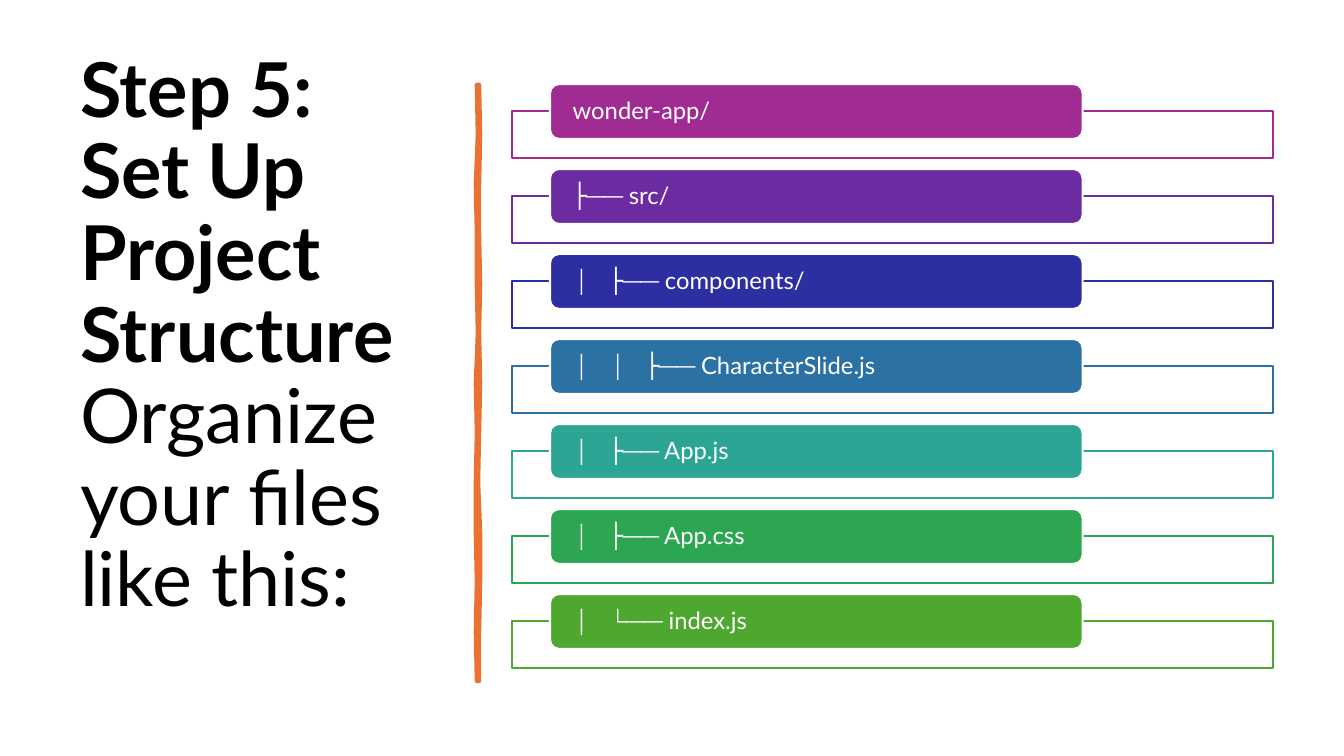
import pptx
import pptx.util
import pptx.dml.color
import pptx.enum.shapes
import pptx.enum.text
import pptx.oxml.ns
import lxml.etree

RGB = pptx.dml.color.RGBColor
SHAPE = pptx.enum.shapes.MSO_SHAPE
ALIGN = pptx.enum.text.PP_ALIGN
ANCHOR = pptx.enum.text.MSO_ANCHOR
FIT = pptx.enum.text.MSO_AUTO_SIZE

PX = 12192000 / 1344
FONT = "Lato"
BLACK = RGB(0x00, 0x00, 0x00)
WHITE = RGB(0xFF, 0xFF, 0xFF)
ORANGE = RGB(0xE9, 0x71, 0x32)
MAGENTA = RGB(0xA0, 0x2B, 0x93)
PURPLE = RGB(0x6C, 0x2B, 0xA1)
INDIGO = RGB(0x2C, 0x2E, 0xA2)
BLUE = RGB(0x2C, 0x71, 0xA4)
TEAL = RGB(0x2D, 0xA5, 0x94)
GREEN = RGB(0x2D, 0xA6, 0x51)
LIME = RGB(0x4E, 0xA7, 0x2E)

TITLE = [("Step 5: Set Up Project Structure", True),
         ("Organize your files like this:", False)]
FILES = [("wonder-app/", MAGENTA),
         ("├── src/", PURPLE),
         ("│   ├── components/", INDIGO),
         ("│   │   ├── CharacterSlide.js", BLUE),
         ("│   ├── App.js", TEAL),
         ("│   ├── App.css", GREEN),
         ("│   └── index.js", LIME)]
RIGHT_EDGE = [2, 3, 2, 2, 3, 2, 3, 2, 1, 3, 3, 2, 2]
LEFT_EDGE = [0, 1, -1, 0, 0, 1, -1, 0, -1, -1, 0, -1, 0]


def px(n):
    return pptx.util.Emu(round(n * PX))


def set_all(obj, values):
    for name, value in values.items():
        setattr(obj, name, value)


def format_frame(tf, anchor, left, top, right, bottom):
    set_all(tf, {"word_wrap": True, "auto_size": FIT.NONE,
                 "vertical_anchor": anchor,
                 "margin_left": px(left), "margin_top": px(top),
                 "margin_right": px(right), "margin_bottom": px(bottom)})


def format_run(r, size, color, bold=False):
    set_all(r.font, {"name": FONT, "size": pptx.util.Pt(size), "bold": bold})
    r.font.color.rgb = color


def paint(sp, fill, line, width):
    sp.shadow.inherit = False
    sp.fill.solid()
    sp.fill.fore_color.rgb = fill
    sp.line.color.rgb = line
    sp.line.width = pptx.util.Pt(width)


def add_title(slide, x, y, w, h):
    sp = slide.shapes.title
    set_all(sp, {"left": px(x), "top": px(y), "width": px(w), "height": px(h)})
    tf = sp.text_frame
    format_frame(tf, ANCHOR.MIDDLE, 10, 5, 10, 87)
    p = tf.paragraphs[0]
    set_all(p, {"alignment": ALIGN.LEFT, "line_spacing": 0.9})
    for i, (text, bold) in enumerate(TITLE):
        if i:
            p.add_line_break()
        r = p.add_run()
        r.text = text
        format_run(r, 54, BLACK, bold)


def add_divider(slide, x, y, h):
    step = h / (len(RIGHT_EDGE) - 1)
    right = [(x + dx, y + i * step) for i, dx in enumerate(RIGHT_EDGE)]
    left = [(x + dx, y + i * step) for i, dx in enumerate(LEFT_EDGE)]
    points = [(px(a), px(b)) for a, b in right + left[::-1]]
    builder = slide.shapes.build_freeform(*points[0], scale=1.0)
    builder.add_line_segments(points[1:], close=True)
    paint(builder.convert_to_shape(), ORANGE, ORANGE, 3.25)


def add_file_row(slide, x, y, w, text, color):
    sp = slide.shapes.add_shape(SHAPE.RECTANGLE, px(x), px(y + 27), px(w), px(47))
    paint(sp, WHITE, color, 1.5)
    srgb = sp.fill._xPr.find(".//" + pptx.oxml.ns.qn("a:srgbClr"))
    lxml.etree.SubElement(srgb, pptx.oxml.ns.qn("a:alpha"), val="90000")

    sp = slide.shapes.add_shape(SHAPE.ROUNDED_RECTANGLE,
                                px(x + 38), px(y), px(w * 0.7), px(55))
    paint(sp, color, WHITE, 1.5)
    format_frame(sp.text_frame, ANCHOR.MIDDLE, 20, 0, 20, 0)
    p = sp.text_frame.paragraphs[0]
    set_all(p, {"alignment": ALIGN.LEFT, "line_spacing": 0.9})
    r = p.add_run()
    r.text = text
    format_run(r, 17, WHITE)


def add_file_tree(slide, x, y, w, pitch):
    for i, (text, color) in enumerate(FILES):
        add_file_row(slide, x, y + i * pitch, w, text, color)


def main():
    prs = pptx.Presentation()
    set_all(prs, {"slide_width": px(1344), "slide_height": px(756)})
    slide = prs.slides.add_slide(prs.slide_layouts[5])
    add_title(slide, 70, 70, 377, 617)
    add_divider(slide, 477, 85, 596)
    add_file_tree(slide, 512, 84, 761, 85)
    prs.save("out.pptx")


if __name__ == "__main__":
    main()
